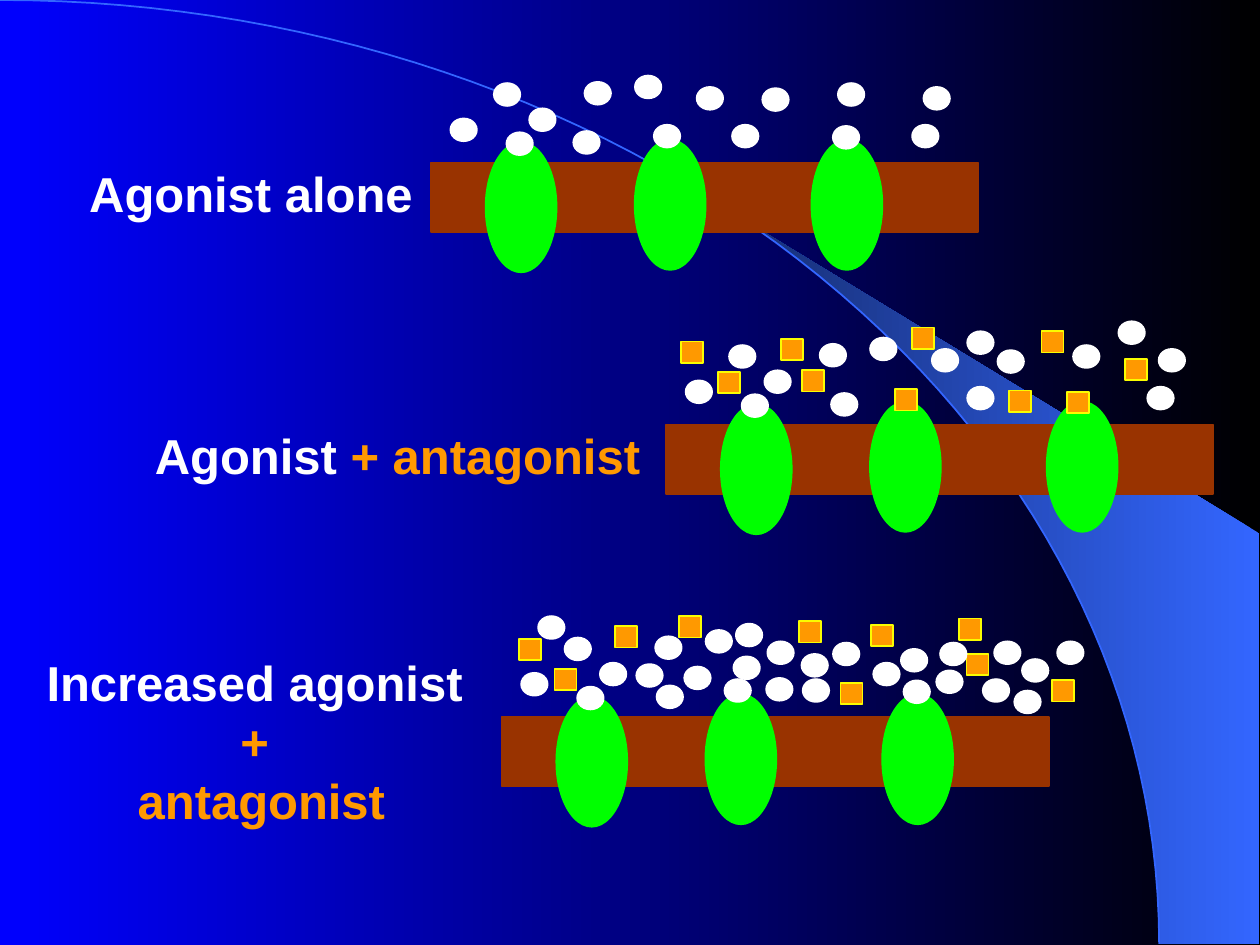
import math

import pptx
import pptx.dml.color
import pptx.enum.shapes
import pptx.enum.text
import pptx.util

Pt = pptx.util.Pt
SHAPES = pptx.enum.shapes.MSO_SHAPE
ALIGN = pptx.enum.text.PP_ALIGN

COLOURS = {
    "black": "000000", "blue": "0000FF", "sky": "3366FF", "navy": "172F75",
    "membrane": "993300", "receptor": "00FF00", "agonist": "FFFFFF",
    "antagonist": "FF9900", "antagonist edge": "FAFD00",
}

# Sizes in points
SLIDE = (720, 540)
HORIZON = (662.4, 539.3)  # radii of the background arc
MEMBRANE = (312.7, 39.6)
RECEPTOR = (40.5, 74.3)
AGONIST = (15.1, 13)
ANTAGONIST = (12.6, 12.2)

# Places below are offsets from the membrane's top left corner
RECEPTORS = [(31.3, -11.6), (116.5, -13), (217.5, -13)]
COMMON_AGONISTS = [
    (189.4, -42.5), (172.1, -21.6), (87.8, -46.1), (116.6, -49.7),
    (151.9, -43.2), (36, -45.4), (11.2, -25.2), (281.5, -43.2),
    (56.2, -31), (275, -21.6), (43.2, -17.3),
]

# One entry per condition; each label is a list of lines made of (text, colour)
CONDITIONS = [
    {
        "membrane": (246.2, 92.9),
        "label box": (43.9, 90, 206.6, 41), "align": ALIGN.LEFT,
        "label": [[("Agonist alone", "agonist")]],
        "agonists": [(81.4, -18), (127.4, -21.6), (232.6, -45.4), (229.7, -20.9)],
        "antagonists": [],
    },
    {
        "membrane": (380.6, 242.6),
        "label box": (81.4, 239.8, 291.6, 41), "align": ALIGN.LEFT,
        "label": [[("Agonist ", "agonist"), ("+ antagonist", "antagonist")]],
        "agonists": [(94.3, -18), (172.1, -53.3), (232.6, -45.4), (258.5, -59)],
        "antagonists": [
            (8.6, -47.5), (65.5, -49), (140.4, -55.4), (262.1, -37.4),
            (214.6, -53.3), (195.8, -19.4), (29.5, -30.2), (77.8, -31),
            (229, -18.7), (131, -20.2),
        ],
    },
    {
        "membrane": (286.6, 409.7),
        "label box": (19.4, 369.4, 259.9, 108), "align": ALIGN.CENTER,
        "label": [
            [("Increased agonist ", "agonist")],
            [("+ ", "antagonist")],
            [("antagonist", "antagonist")],
        ],
        "agonists": [
            (88.6, -18), (127.4, -21.6), (228.2, -38.9), (229.7, -20.9),
            (20.9, -57.6), (132.5, -34.6), (151.2, -22.3), (104.4, -28.8),
            (248.4, -26.6), (212.4, -31), (297.4, -33.1), (293, -15.1),
            (77, -30.2), (133.9, -53.3), (171.4, -36), (250.6, -42.5),
            (317.5, -43.2),
        ],
        "antagonists": [
            (10.1, -44.6), (314.6, -20.9), (261.4, -56.2), (193.7, -19.4),
            (211, -52.6), (169.9, -54.7), (101.5, -57.6), (64.8, -51.8),
            (30.2, -27.4), (265.7, -36),
        ],
    },
]


def colour(name):
    return pptx.dml.color.RGBColor.from_string(COLOURS[name])


def set_gradient(fill, right, left):
    fill.gradient()
    fill.gradient_angle = 180
    for stop, name in zip(fill.gradient_stops, (right, left)):
        stop.color.rgb = colour(name)


def arc_points(start_degrees, steps=60):
    """Points along the quarter ellipse, from the given angle to its right end."""
    angles = [math.radians(start_degrees + (90 - start_degrees) * i / steps)
              for i in range(steps + 1)]
    return [(HORIZON[0] * math.sin(a), HORIZON[1] * (1 - math.cos(a))) for a in angles]


def add_outline(slide, points, close):
    emu = [(Pt(x), Pt(y)) for x, y in points]
    builder = slide.shapes.build_freeform(*emu[0], scale=1.0)
    builder.add_line_segments(emu[1:], close=close)
    shape = builder.convert_to_shape()
    shape.shadow.inherit = False
    return shape


def add_backdrop(slide):
    set_gradient(slide.background.fill, "black", "blue")
    # Light beam between the arc and the right edge
    beam = add_outline(slide, arc_points(39.8) + [(719.3, 539.3), (719.3, 304.6)], True)
    set_gradient(beam.fill, "sky", "navy")
    beam.line.fill.background()
    # Thin horizon line
    horizon = add_outline(slide, arc_points(0), False)
    horizon.fill.background()
    horizon.line.color.rgb = colour("sky")
    horizon.line.width = Pt(1)


def add_solid(group, kind, origin, offset, size, fill, edge=None):
    left, top = origin[0] + offset[0], origin[1] + offset[1]
    shape = group.shapes.add_shape(kind, Pt(left), Pt(top), Pt(size[0]), Pt(size[1]))
    shape.shadow.inherit = False
    shape.fill.solid()
    shape.fill.fore_color.rgb = colour(fill)
    shape.line.color.rgb = colour(edge or fill)
    shape.line.width = Pt(1)


def add_label(slide, condition):
    box = slide.shapes.add_textbox(*(Pt(length) for length in condition["label box"]))
    frame = box.text_frame
    frame.word_wrap = False
    frame.auto_size = pptx.enum.text.MSO_AUTO_SIZE.SHAPE_TO_FIT_TEXT
    for index, line in enumerate(condition["label"]):
        paragraph = frame.add_paragraph() if index else frame.paragraphs[0]
        paragraph.alignment = condition["align"]
        for text, name in line:
            run = paragraph.add_run()
            run.text = text
            run.font.name = "Arial"
            run.font.size = Pt(28)
            run.font.bold = True
            run.font.color.rgb = colour(name)


def add_membrane(slide, condition):
    group = slide.shapes.add_group_shape()
    origin = condition["membrane"]
    add_solid(group, SHAPES.RECTANGLE, origin, (0, 0), MEMBRANE, "membrane")
    for offset in RECEPTORS:
        add_solid(group, SHAPES.OVAL, origin, offset, RECEPTOR, "receptor")
    for offset in condition["antagonists"]:
        add_solid(group, SHAPES.RECTANGLE, origin, offset, ANTAGONIST,
                  "antagonist", "antagonist edge")
    for offset in COMMON_AGONISTS + condition["agonists"]:
        add_solid(group, SHAPES.OVAL, origin, offset, AGONIST, "agonist")


def main():
    presentation = pptx.Presentation()
    presentation.slide_width, presentation.slide_height = map(Pt, SLIDE)
    slide = presentation.slides.add_slide(presentation.slide_layouts[6])
    add_backdrop(slide)
    for condition in CONDITIONS:
        add_label(slide, condition)
        add_membrane(slide, condition)
    presentation.save("out.pptx")


if __name__ == "__main__":
    main()
